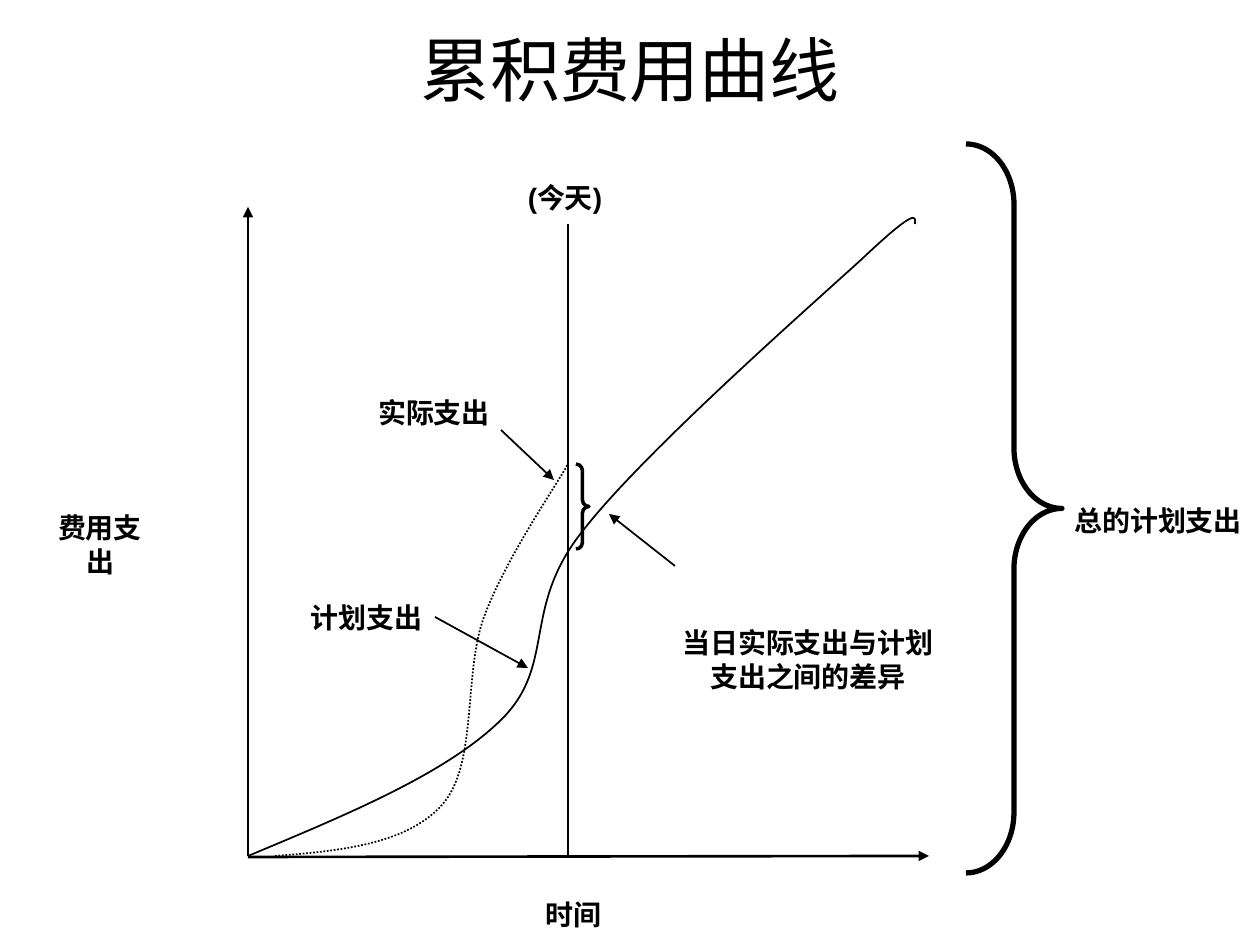
import pptx
import pptx.dml.color
import pptx.enum.dml
import pptx.enum.shapes
import pptx.enum.text
import pptx.oxml
import pptx.oxml.ns
import pptx.util

SCALE = 914400 / 126
BLACK = pptx.dml.color.RGBColor(0, 0, 0)
WHITE = pptx.dml.color.RGBColor(255, 255, 255)
CENTER = pptx.enum.text.PP_ALIGN.CENTER
LEFT = pptx.enum.text.PP_ALIGN.LEFT


def px(length):
    return pptx.util.Emu(round(length * SCALE))


def add_element(parent, tag, **attributes):
    element = parent.makeelement(pptx.oxml.ns.qn(tag), attributes)
    parent.append(element)
    return element


def ink(shape, width):
    shape.line.color.rgb = BLACK
    shape.line.width = pptx.util.Pt(width)


def write(frame, text, *, size=16, font="Arial", bold=True, align=CENTER,
          spacing=1.0, before=10):
    """Fill a text frame with one paragraph for each line of text."""
    for index, words in enumerate(text.split("\n")):
        para = frame.paragraphs[0] if index == 0 else frame.add_paragraph()
        para.alignment = align
        para.line_spacing = spacing
        para.space_before = pptx.util.Pt(before)
        span = para.add_run()
        span.text = words
        span.font.size = pptx.util.Pt(size)
        span.font.name = font
        span.font.bold = bold
        span.font.color.rgb = BLACK


def add_label(page, text, box, wrap=True, **text_format):
    frame = page.shapes.add_textbox(*map(px, box)).text_frame
    frame.word_wrap = wrap
    frame.vertical_anchor = pptx.enum.text.MSO_ANCHOR.BOTTOM
    write(frame, text, **text_format)


def add_line(page, start, end, width=1.0, arrow=True):
    line = page.shapes.add_connector(
        pptx.enum.shapes.MSO_CONNECTOR.STRAIGHT, *map(px, start + end))
    ink(line, width)
    if arrow:
        add_element(line.line._get_or_add_ln(), "a:tailEnd", type="triangle")
    add_element(line._element.spPr, "a:effectLst")


def add_curve(page, origin, points, dashed=False):
    """Draw a Bezier curve: a start, then two controls and an end per piece."""
    left, top = origin
    (x, y), *rest = [(px(left + x), px(top + y)) for x, y in points]
    builder = page.shapes.build_freeform(x, y)
    builder.add_line_segments(rest, close=False)
    curve = builder.convert_to_shape()
    curve.shadow.inherit = False
    curve.fill.background()
    ink(curve, 1)
    if dashed:
        curve.line.dash_style = pptx.enum.dml.MSO_LINE.ROUND_DOT
    steps = curve._element.findall(".//" + pptx.oxml.ns.qn("a:lnTo"))
    outline = steps[0].getparent()
    for first in range(0, len(steps), 3):
        piece = add_element(outline, "a:cubicBezTo")
        for step in steps[first:first + 3]:
            piece.append(step[0])
            outline.remove(step)


def add_brace(page, box, width, bend):
    brace = page.shapes.add_shape(
        pptx.enum.shapes.MSO_SHAPE.RIGHT_BRACE, *map(px, box))
    brace.shadow.inherit = False
    brace.fill.background()
    ink(brace, width)
    brace.adjustments[0] = bend


def add_title(page, text, box):
    title = page.shapes.title
    title.left, title.top, title.width, title.height = map(px, box)
    title.text_frame.vertical_anchor = pptx.enum.text.MSO_ANCHOR.MIDDLE
    write(title.text_frame, text, size=40, font="Lato", bold=False, before=0)


def add_cost_chart(page, box):
    """Draw axes, today's line and both spending curves with their labels."""
    left, top, width, height = box

    def at(x, y):
        return left + x, top + y

    today = 320
    origin = at(0, height)
    add_line(page, origin, at(0, 0), 1.5)
    add_line(page, at(0, height + 1), at(width, height), 1.5)
    add_line(page, at(today, height), at(today, 17), arrow=False)

    planned = [(0, 649), (98, 608), (198, 567), (253, 513),
               (309, 458), (273, 402), (334, 325),
               (393, 248), (558, 103), (614, 52),
               (669, 0), (668, 9), (667, 17)]
    actual = [(27, 649), (93, 644), (159, 637), (194, 598),
              (230, 558), (215, 467), (236, 410),
              (257, 353), (306, 282), (today, 257)]
    add_curve(page, (left, top), planned)
    add_curve(page, (left, top), actual, dashed=True)
    add_brace(page, (*at(328, 257), 13, 85), 2, 0.5)

    add_label(page, "(今天)", (*at(261, -34), 112, 47), wrap=False)
    add_label(page, "时间", (*at(285, 683), 81, 47), wrap=False)
    add_label(page, "费用支出", (*at(-216, 330), 136, 47), wrap=False)
    add_label(page, "实际支出", (*at(106, 194), 160, 33), spacing=0.6)
    add_label(page, "计划支出", (*at(39, 399), 159, 33), spacing=0.6)
    add_label(page, "当日实际支出与计划\n支出之间的差异",
              (*at(400, 370), 320, 120), spacing=0.5)

    for start, end in [((253, 223), (306, 273)),
                       ((187, 410), (280, 461)),
                       ((427, 359), (361, 307))]:
        add_line(page, at(*start), at(*end))


def add_total(page, box):
    """Draw the brace over the whole plan, with its label at the tip."""
    left, top, width, height = box
    add_brace(page, box, 3, 0.63)
    add_label(page, "总的计划支出", (left + width, top + 365, 198, 33),
              align=LEFT, spacing=0.6)


def main():
    deck = pptx.Presentation()
    deck.slide_width, deck.slide_height = px(1260), px(945)
    page = deck.slides.add_slide(deck.slide_layouts[5])
    page.background.fill.solid()
    page.background.fill.fore_color.rgb = WHITE
    add_title(page, "累积费用曲线", (94, -10, 1072, 158))
    add_cost_chart(page, (248, 207, 681, 649))
    add_total(page, (966, 144, 96, 729))
    deck.save("out.pptx")


if __name__ == "__main__":
    main()
